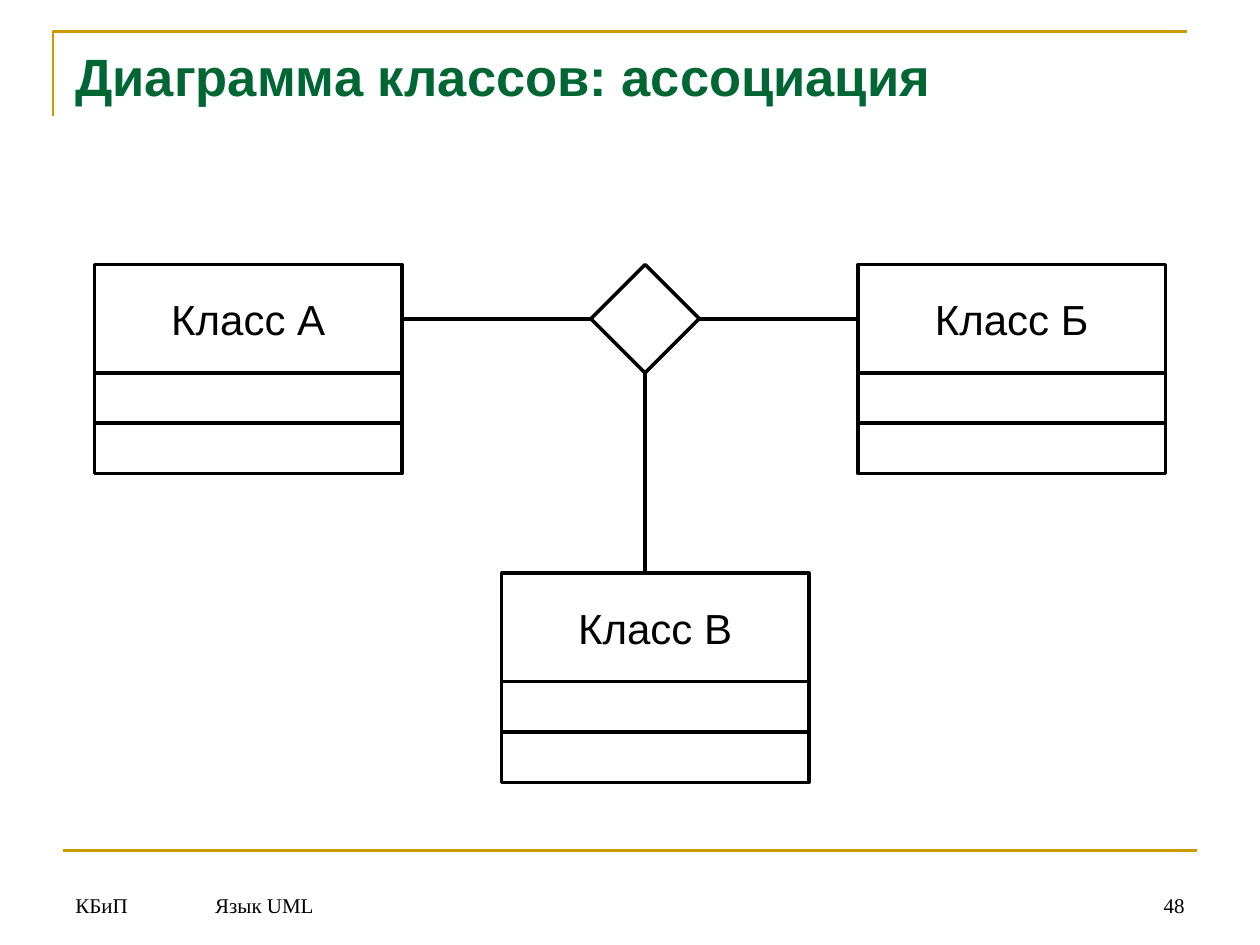
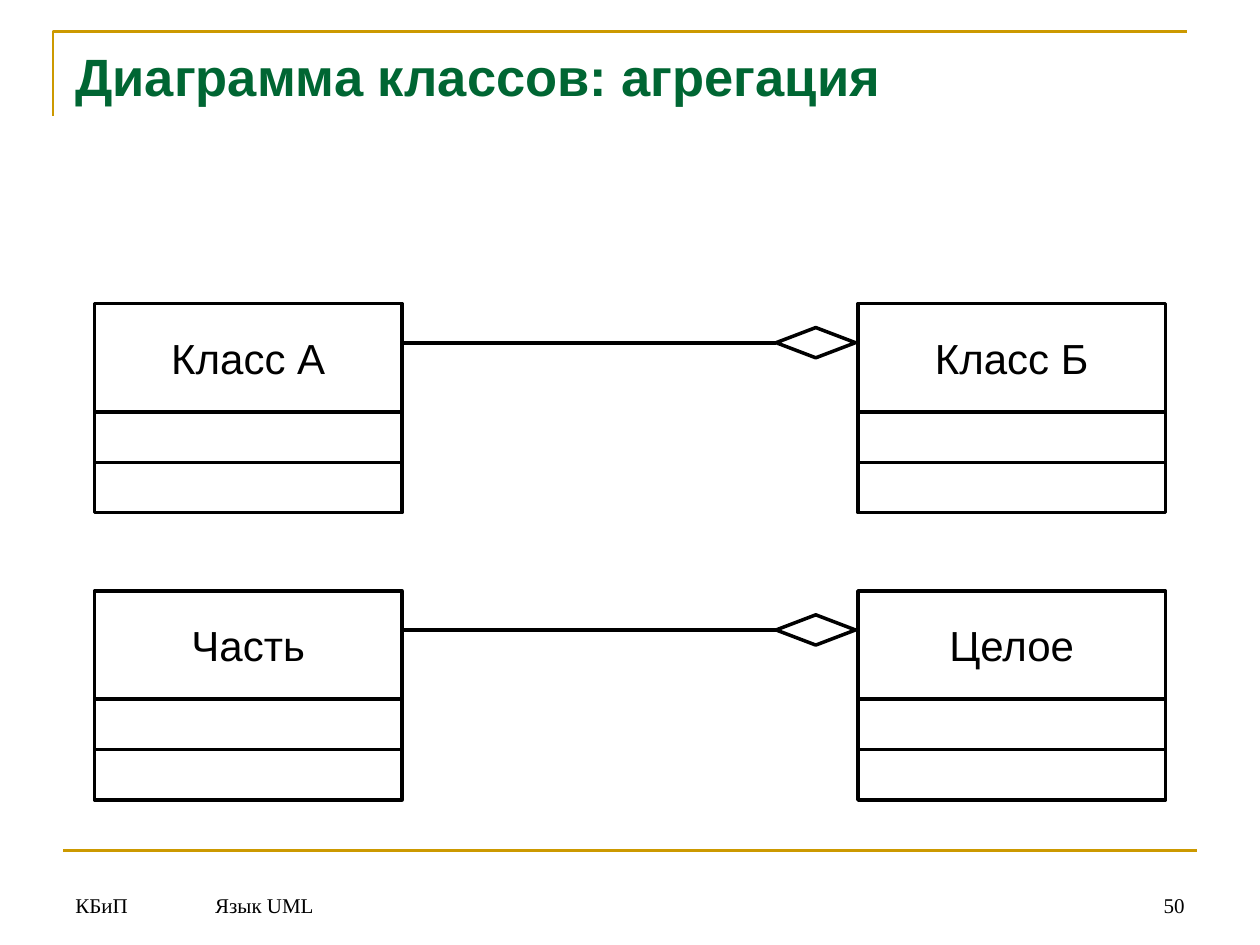
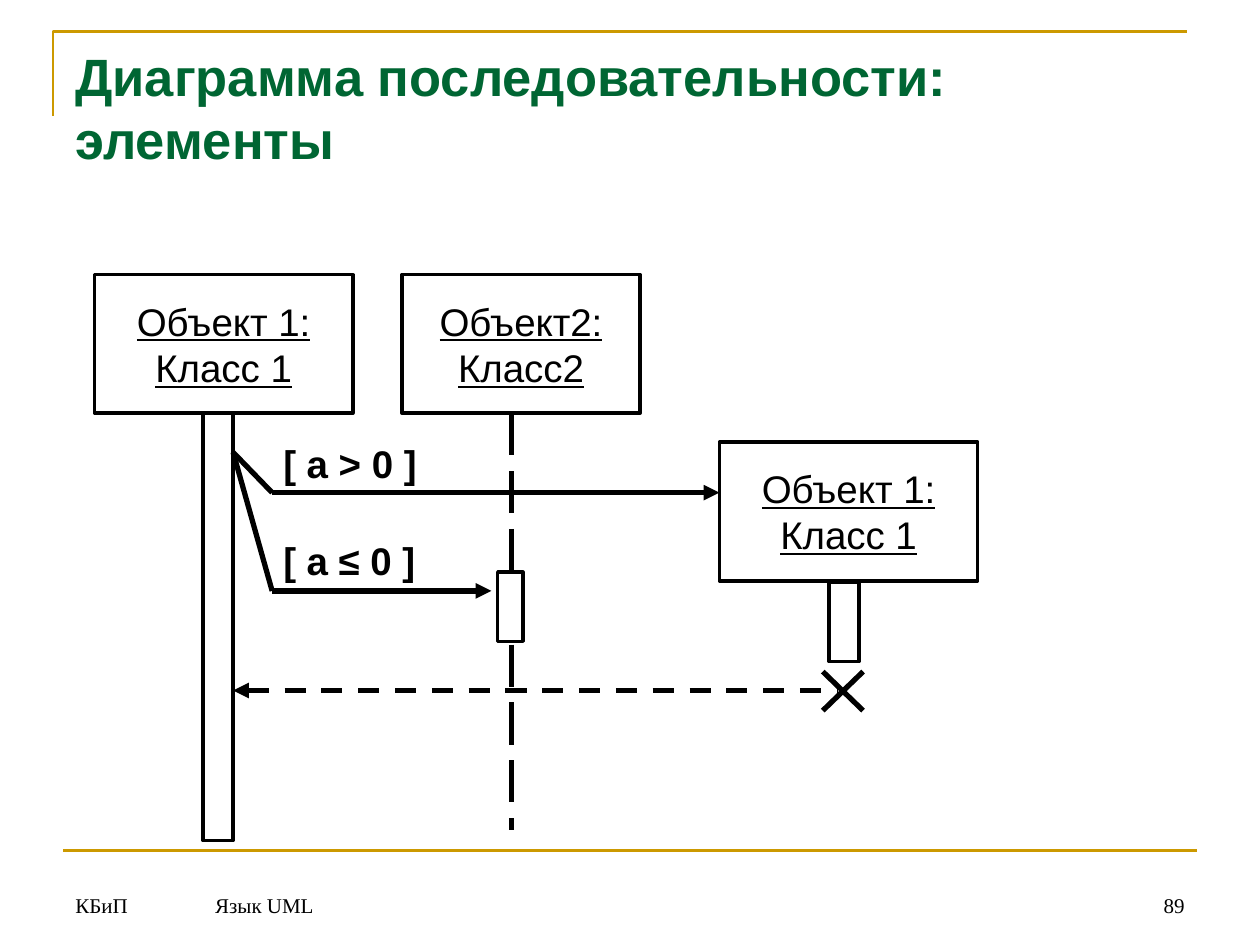
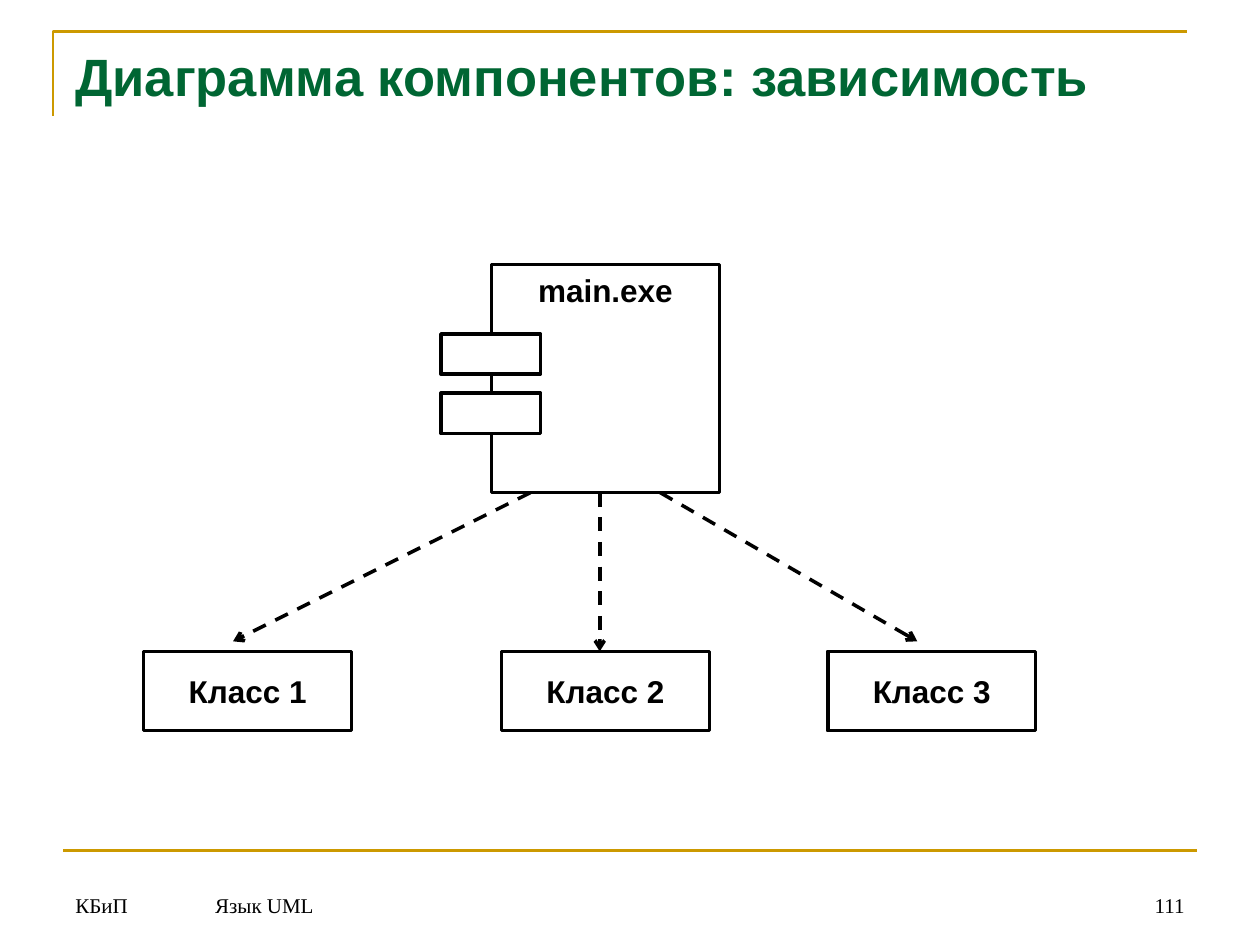
import pptx
import pptx.dml.color
import pptx.enum.dml
import pptx.enum.shapes
import pptx.enum.text
import pptx.oxml.ns
import pptx.util
from lxml import etree

Inches = pptx.util.Inches
Pt = pptx.util.Pt
RGBColor = pptx.dml.color.RGBColor
SHAPE = pptx.enum.shapes.MSO_SHAPE
ANCHOR = pptx.enum.text.MSO_ANCHOR
ALIGN = pptx.enum.text.PP_ALIGN
DASH = pptx.enum.dml.MSO_LINE
qn = pptx.oxml.ns.qn

GOLD = RGBColor(0xCC, 0x99, 0x00)
GREEN = RGBColor(0x00, 0x66, 0x33)
BLACK = RGBColor(0x00, 0x00, 0x00)
WHITE = RGBColor(0xFF, 0xFF, 0xFF)

TITLE = {"name": "Arial", "size": Pt(30), "bold": True}
FOOTER = {"name": "Times New Roman", "size": Pt(12)}
CLASS_NAME = {"name": "Arial", "size": Pt(24)}
OBJECT_NAME = {"name": "Arial", "size": Pt(22), "underline": True}
CONDITION = {"name": "Arial", "size": Pt(22), "bold": True}
COMPONENT = {"name": "Arial", "size": Pt(18), "bold": True}

TOP, LEFT, BOTTOM, RIGHT = 0, 1, 2, 3
CLASS_WIDTH, NAME_HEIGHT, SECTION_HEIGHT = 2.44, 0.86, 0.4
LEFT_CLASS, RIGHT_CLASS = 0.75, 6.81


def write(frame, text, style, color=BLACK, align=ALIGN.LEFT, anchor=ANCHOR.TOP, wrap=False):
    frame.text = text
    frame.word_wrap = wrap
    frame.vertical_anchor = anchor
    for paragraph in frame.paragraphs:
        paragraph.alignment = align
        for run in paragraph.runs:
            for attribute, value in style.items():
                setattr(run.font, attribute, value)
            run.font.color.rgb = color


def add_label(slide, text, box, style, **layout):
    label = slide.shapes.add_textbox(*map(Inches, box))
    write(label.text_frame, text, style, **layout)
    return label


def add_box(slide, box, text="", style=None, kind=SHAPE.RECTANGLE, fill=None, anchor=ANCHOR.MIDDLE):
    outline = slide.shapes.add_shape(kind, *map(Inches, box))
    outline.shadow.inherit = False
    if fill is None:
        outline.fill.background()
    else:
        outline.fill.solid()
        outline.fill.fore_color.rgb = fill
    outline.line.color.rgb = BLACK
    outline.line.width = Pt(2)
    if text:
        write(outline.text_frame, text, style, align=ALIGN.CENTER, anchor=anchor)
    return outline


def add_line(slide, start, end, width=2, color=BLACK, dash=None, begin=None, finish=None, **arrows):
    line = slide.shapes.add_connector(
        pptx.enum.shapes.MSO_CONNECTOR.STRAIGHT, *map(Inches, (*start, *end)))
    if begin:
        line.begin_connect(*begin)
    if finish:
        line.end_connect(*finish)
    line.line.color.rgb = color
    line.line.width = Pt(width)
    if dash:
        line.line.dash_style = dash
    properties = line._element.spPr
    for arrow_end, arrow in arrows.items():
        etree.SubElement(properties.find(qn("a:ln")), qn(f"a:{arrow_end}"), type=arrow)
    etree.SubElement(properties, qn("a:effectLst"))
    return line


def add_frame(slide):
    corner = slide.shapes.build_freeform(Inches(0.42), Inches(0.92))
    corner.add_line_segments(
        [(Inches(0.42), Inches(0.25)), (Inches(9.42), Inches(0.25))], close=False)
    bracket = corner.convert_to_shape()
    bracket.shadow.inherit = False
    bracket.fill.background()
    bracket.line.color.rgb = GOLD
    bracket.line.width = Pt(1.5)
    add_line(slide, (0.5, 6.75), (9.5, 6.75), 1.5, GOLD)


def start_slide(deck, title, number, title_height=1.25):
    slide = deck.slides.add_slide(deck.slide_layouts[6])
    add_frame(slide)
    footers = [("КБиП", 0.5, 0.96, ALIGN.LEFT),
               ("Язык UML", 1.61, 7.24, ALIGN.LEFT),
               (number, 8.94, 0.56, ALIGN.RIGHT)]
    for text, left, width, align in footers:
        add_label(slide, text, (left, 6.83, width, 0.5), FOOTER,
                  align=align, anchor=ANCHOR.BOTTOM, wrap=True)
    add_label(slide, title, (0.5, 0.3, 9, title_height), TITLE, color=GREEN, wrap=True)
    return slide


def add_class(slide, name, left, top):
    header = add_box(slide, (left, top, CLASS_WIDTH, NAME_HEIGHT), name, CLASS_NAME)
    for section in range(2):
        section_top = top + NAME_HEIGHT + section * SECTION_HEIGHT
        add_box(slide, (left, section_top, CLASS_WIDTH, SECTION_HEIGHT))
    return header


def add_aggregation(slide, part, whole, top):
    add_class(slide, part, LEFT_CLASS, top)
    add_class(slide, whole, RIGHT_CLASS, top)
    diamond = add_box(slide, (6.16, top + 0.19, 0.63, 0.24), kind=SHAPE.DIAMOND)
    level = top + 0.31
    add_line(slide, (LEFT_CLASS + CLASS_WIDTH, level), (6.16, level), 2.25,
             finish=(diamond, LEFT))


def add_object(slide, name, left, top, width):
    return add_box(slide, (left, top, width, 1.1), name, OBJECT_NAME)


def association_slide(deck):
    slide = start_slide(deck, "Диаграмма классов: ассоциация", "48")
    class_a = add_class(slide, "Класс А", LEFT_CLASS, 2.1)
    class_b = add_class(slide, "Класс Б", RIGHT_CLASS, 2.1)
    add_class(slide, "Класс В", 3.98, 4.55)
    diamond = add_box(slide, (4.69, 2.1, 0.86, 0.86), kind=SHAPE.DIAMOND)
    add_line(slide, (5.55, 2.53), (6.81, 2.53), begin=(diamond, RIGHT), finish=(class_b, LEFT))
    add_line(slide, (4.69, 2.53), (3.19, 2.53), begin=(diamond, LEFT), finish=(class_a, RIGHT))
    add_line(slide, (5.12, 2.96), (5.12, 4.55), begin=(diamond, BOTTOM))


def aggregation_slide(deck):
    slide = start_slide(deck, "Диаграмма классов: агрегация", "50")
    add_aggregation(slide, "Класс А", "Класс Б", 2.41)
    add_aggregation(slide, "Часть", "Целое", 4.69)


def sequence_slide(deck):
    slide = start_slide(deck, "Диаграмма последовательности: элементы", "89", 1.64)
    add_object(slide, "Объект 1:\nКласс 1", 0.75, 2.18, 2.05)
    add_object(slide, "Объект2:\nКласс2", 3.19, 2.18, 1.89)
    add_object(slide, "Объект 1:\nКласс 1", 5.71, 3.51, 2.05)
    add_line(slide, (4.06, 3.28), (4.06, 6.59), 3, dash=DASH.LONG_DASH)
    for activation in [(1.61, 3.28, 0.24, 3.39), (3.95, 4.54, 0.2, 0.55),
                       (6.58, 4.62, 0.24, 0.63)]:
        add_box(slide, activation, fill=WHITE)

    for condition, label_top, level, target in [("[ a > 0 ]", 3.44, 3.91, 5.71),
                                                ("[ a ≤ 0 ]", 4.21, 4.69, 3.9)]:
        add_line(slide, (1.85, 3.59), (2.16, level), 3)
        add_line(slide, (2.16, level), (target, level), 3, tailEnd="triangle")
        label = add_label(slide, condition, (2.15, label_top, 1.26, 0.47), CONDITION)
        label.text_frame.auto_size = pptx.enum.text.MSO_AUTO_SIZE.SHAPE_TO_FIT_TEXT

    add_line(slide, (1.85, 5.48), (6.65, 5.48), 3, dash=DASH.DASH, headEnd="triangle")
    for start_x, end_x in [(6.85, 6.53), (6.53, 6.85)]:
        add_line(slide, (start_x, 5.33), (end_x, 5.64), 3)


def dependency_slide(deck):
    slide = start_slide(deck, "Диаграмма компонентов: зависимость", "111")
    add_box(slide, (3.9, 2.1, 1.81, 1.81), "main.exe", COMPONENT, anchor=ANCHOR.TOP)
    for port_top in (2.65, 3.12):
        add_box(slide, (3.5, port_top, 0.79, 0.32), fill=WHITE)
    for name, left, start_x, end in [("Класс 1", 1.14, 4.21, (1.85, 5.09)),
                                     ("Класс 2", 3.98, 4.76, (4.76, 5.17)),
                                     ("Класс 3", 6.57, 5.24, (7.28, 5.09))]:
        add_line(slide, (start_x, 3.91), end, dash=DASH.DASH, tailEnd="arrow")
        add_box(slide, (left, 5.17, 1.65, 0.63), name, COMPONENT)


def main():
    deck = pptx.Presentation()
    deck.slide_width = Inches(10)
    deck.slide_height = Inches(7.5)
    association_slide(deck)
    aggregation_slide(deck)
    sequence_slide(deck)
    dependency_slide(deck)
    deck.save("out.pptx")


if __name__ == "__main__":
    main()
